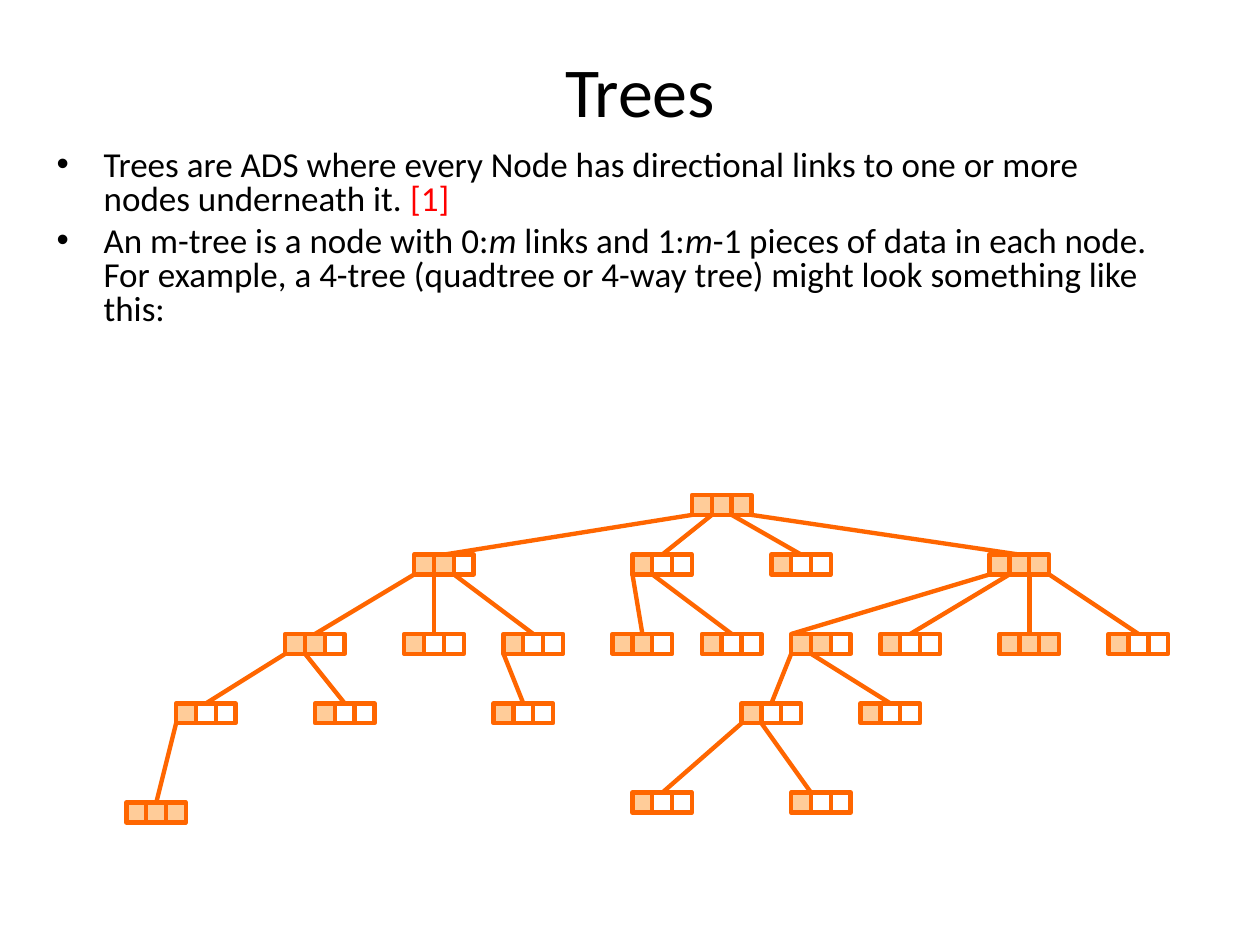
"""Build the slide on m-trees: title, two bullets and a drawn 4-tree."""
from dataclasses import dataclass

from lxml import etree
from pptx import Presentation
from pptx.dml.color import RGBColor
from pptx.enum.shapes import MSO_CONNECTOR, MSO_SHAPE
from pptx.enum.text import MSO_ANCHOR, PP_ALIGN
from pptx.oxml.ns import qn
from pptx.util import Cm, Pt

STRAIGHT = MSO_CONNECTOR.STRAIGHT
RECTANGLE = MSO_SHAPE.RECTANGLE
MIDDLE = MSO_ANCHOR.MIDDLE
CENTER = PP_ALIGN.CENTER
TITLE_ONLY = 5


@dataclass(frozen=True)
class Theme:
    font: str = "Calibri"
    ink: RGBColor = RGBColor(0x00, 0x00, 0x00)
    citation: RGBColor = RGBColor(0xFF, 0x00, 0x00)
    outline: RGBColor = RGBColor(0xFF, 0x66, 0x00)
    data: RGBColor = RGBColor(0xFF, 0xCC, 0x99)
    title_size: Pt = Pt(40)
    body_size: Pt = Pt(20)
    stroke: Pt = Pt(2.5)


THEME = Theme()
UNIT = 0.2
CELL = 2
CELLS_PER_NODE = 3
NODE_MIDDLE = 3
TREE_LEFT, TREE_TOP = 2.55, 9.98

BULLETS = [
    [("Trees are ADS where every Node has directional links to one or more nodes underneath it. ", ""),
     ("[1]", "citation")],
    [("An m-tree is a node with 0:", ""), ("m", "italic"), (" links and 1:", ""), ("m", "italic"),
     ("-1 pieces of data in each node. For example, a 4-tree (quadtree or 4-way tree) "
      "might look something like this:", "")],
]

# name: (column, row, pieces of data, parent, where the link lands)
NODES = {
    "root": (57, 0, 3, None, NODE_MIDDLE),
    "a": (29, 6, 2, "root", NODE_MIDDLE),
    "b": (51, 6, 1, "root", NODE_MIDDLE),
    "c": (65, 6, 1, "root", NODE_MIDDLE),
    "d": (87, 6, 3, "root", NODE_MIDDLE),
    "a1": (16, 14, 2, "a", NODE_MIDDLE),
    "a2": (28, 14, 1, "a", NODE_MIDDLE),
    "a3": (38, 14, 1, "a", NODE_MIDDLE),
    "b1": (49, 14, 2, "b", NODE_MIDDLE),
    "b2": (58, 14, 1, "b", NODE_MIDDLE),
    "d1": (67, 14, 2, "d", 0),
    "d2": (76, 14, 1, "d", NODE_MIDDLE),
    "d3": (88, 14, 3, "d", NODE_MIDDLE),
    "d4": (99, 14, 1, "d", NODE_MIDDLE),
    "a11": (5, 21, 1, "a1", NODE_MIDDLE),
    "a12": (19, 21, 1, "a1", NODE_MIDDLE),
    "a31": (37, 21, 1, "a3", NODE_MIDDLE),
    "d11": (62, 21, 1, "d1", NODE_MIDDLE),
    "d12": (74, 21, 1, "d1", NODE_MIDDLE),
    "a111": (0, 31, 3, "a11", NODE_MIDDLE),
    "d111": (51, 30, 1, "d11", NODE_MIDDLE),
    "d112": (67, 30, 1, "d11", 2),
}


def grid_point(column, row):
    return Cm(TREE_LEFT + column * UNIT), Cm(TREE_TOP + row * UNIT)


prs = Presentation()
prs.slide_width, prs.slide_height = Cm(25.4), Cm(19.05)
slide = prs.slides.add_slide(prs.slide_layouts[TITLE_ONLY])

title = slide.shapes.title
title.left, title.top, title.width, title.height = Cm(2.11), Cm(0.91), Cm(21.59), Cm(1.8)
title.text_frame.text = "Trees"
title.text_frame.vertical_anchor = MIDDLE
heading = title.text_frame.paragraphs[0]
heading.alignment = CENTER
heading.font.name, heading.font.size = THEME.font, THEME.title_size
heading.font.color.rgb = THEME.ink

definition = slide.shapes.add_textbox(Cm(0.89), Cm(2.92), Cm(22.81), Cm(4.8)).text_frame
definition.word_wrap = True
for index, pieces in enumerate(BULLETS):
    point = definition.add_paragraph() if index else definition.paragraphs[0]
    properties = point._p.get_or_add_pPr()
    properties.set("marL", str(Cm(0.95)))
    properties.set("indent", str(-Cm(0.95)))
    etree.SubElement(properties, qn("a:buFont"), typeface="Arial")
    etree.SubElement(properties, qn("a:buChar"), char="•")
    point.line_spacing = 0.8
    if index:
        point.space_before = Pt(5)
    point.font.name, point.font.size = THEME.font, THEME.body_size
    point.font.color.rgb = THEME.ink
    for words, style in pieces:
        run = point.add_run()
        run.text = words
        if style == "italic":
            run.font.italic = True
        elif style == "citation":
            run.font.color.rgb = THEME.citation

tree = slide.shapes.add_group_shape().shapes
middle_cells = {}
for name, (column, row, data_count, _, _) in NODES.items():
    for slot in range(CELLS_PER_NODE):
        cell = tree.add_shape(RECTANGLE, *grid_point(column + slot * CELL, row),
                              Cm(CELL * UNIT), Cm(CELL * UNIT))
        cell.shadow.inherit = False
        cell.line.color.rgb, cell.line.width = THEME.outline, THEME.stroke
        if slot < data_count:
            cell.fill.solid()
            cell.fill.fore_color.rgb = THEME.data
        else:
            cell.fill.background()
        if slot == 1:
            middle_cells[name] = cell

links_used = dict.fromkeys(NODES, 0)
for name, (column, row, _, parent, landing) in NODES.items():
    if parent is None:
        continue
    parent_column, parent_row = NODES[parent][:2]
    start = grid_point(parent_column + links_used[parent] * CELL, parent_row + CELL)
    links_used[parent] += 1
    link = tree.add_connector(STRAIGHT, *start, *grid_point(column + landing, row))
    if landing == NODE_MIDDLE:
        link.end_connect(middle_cells[name], 0)
    link.line.color.rgb, link.line.width = THEME.outline, THEME.stroke
    etree.SubElement(link._element.spPr, qn("a:effectLst"))

prs.save("out.pptx")
